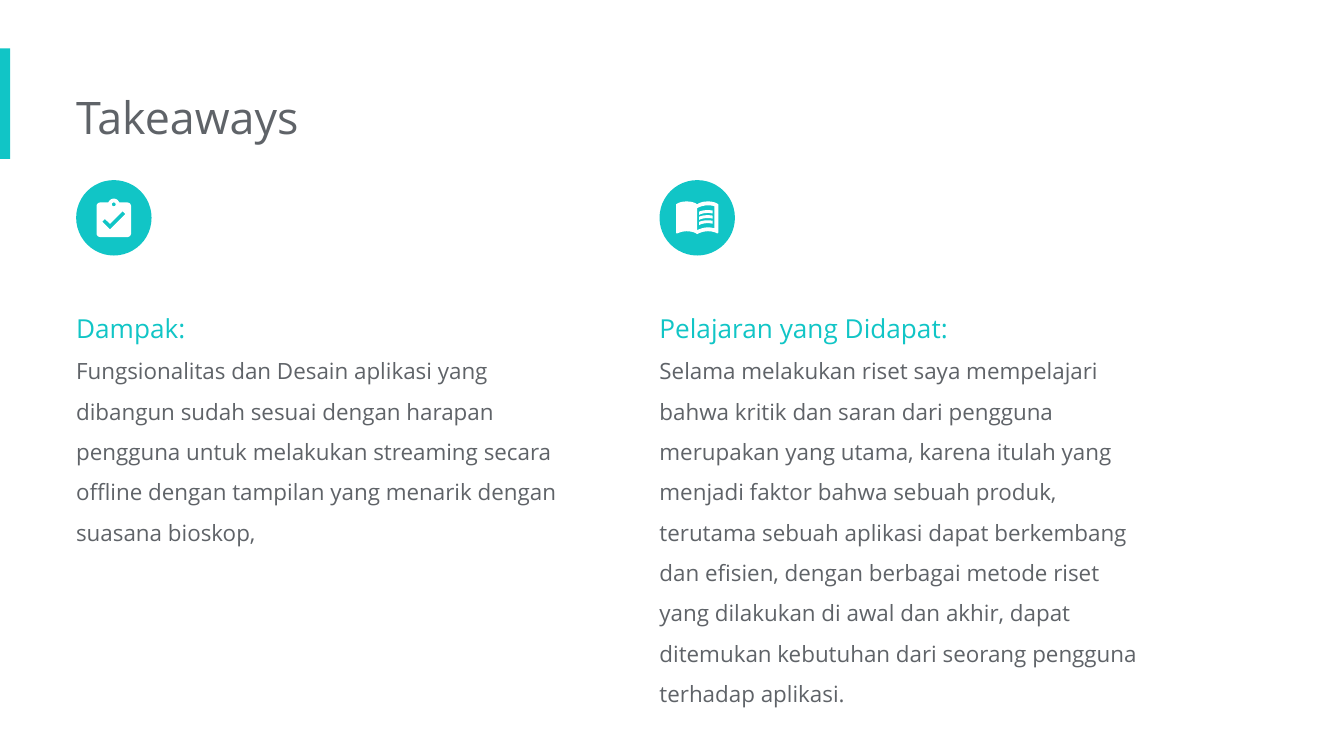
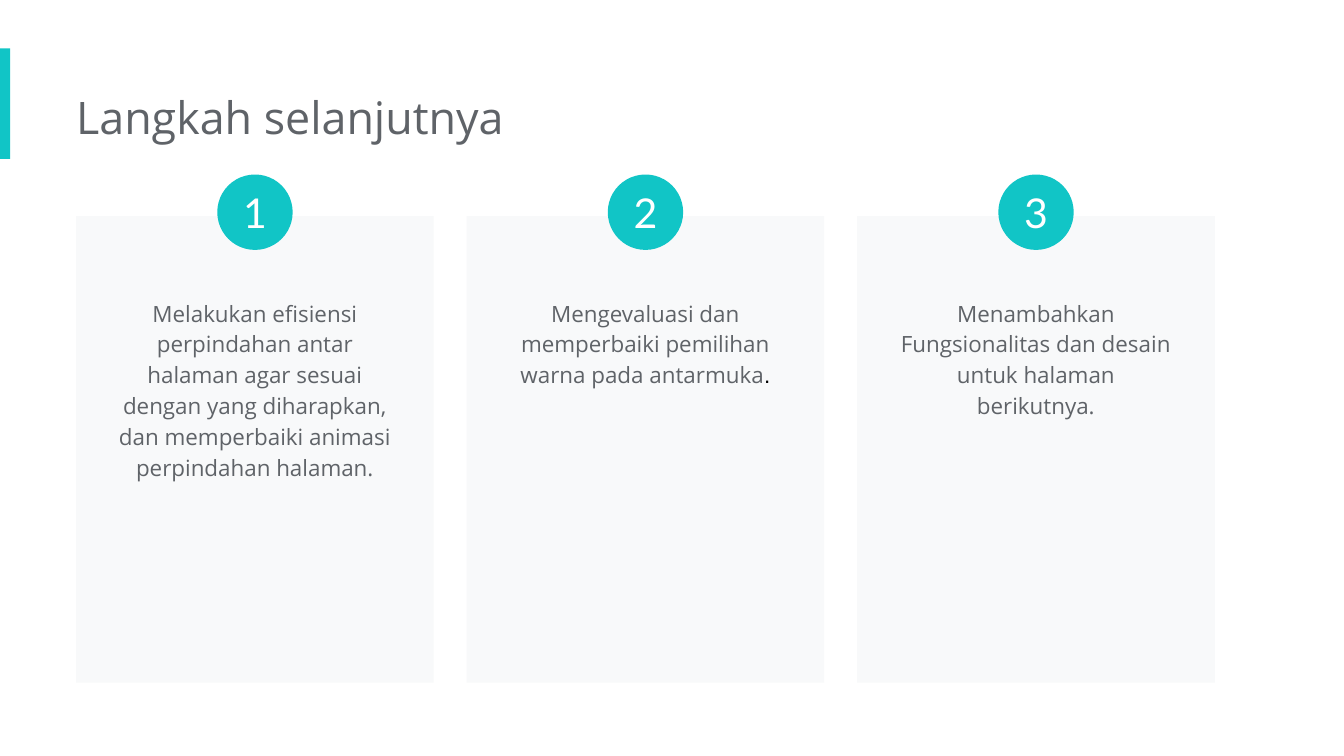
"""Builds two slides: project takeaways and next steps."""
from pptx import Presentation
from pptx.dml.color import RGBColor
from pptx.enum import shapes, text
from pptx.util import Pt

TEAL, GREY, PALE, WHITE, BLACK = "11C5C6", "5F6368", "F8F9FA", "FFFFFF", "000000"
FONT = "Open Sans"
LEFT = 40.8
INSET = 7.2
BADGE = 40.4

TAKEAWAYS_TITLE = "Takeaways"
TAKEAWAYS = [
    ("Dampak:",
     "Fungsionalitas dan Desain aplikasi yang dibangun sudah sesuai dengan harapan "
     "pengguna untuk melakukan streaming secara offline dengan tampilan yang menarik "
     "dengan suasana bioskop,", 142),
    ("Pelajaran yang Didapat:",
     "Selama melakukan riset saya mempelajari bahwa kritik dan saran dari pengguna "
     "merupakan yang utama, karena itulah yang menjadi faktor bahwa sebuah produk, "
     "terutama sebuah aplikasi dapat berkembang dan efisien, dengan berbagai metode riset "
     "yang dilakukan di awal dan akhir, dapat ditemukan kebutuhan dari seorang pengguna "
     "terhadap aplikasi.", 229),
]

STEPS_TITLE = "Langkah selanjutnya"
STEPS = [
    ([("Melakukan efisiensi perpindahan antar halaman agar sesuai dengan yang diharapkan, "
       "dan memperbaiki animasi perpindahan halaman.", {})], 113),
    ([("Mengevaluasi dan memperbaiki pemilihan warna pada antarmuka", {}),
      (".", {"font": "Arial", "color": BLACK})], 62.6),
    ([("Menambahkan Fungsionalitas dan desain untuk halaman berikutnya.", {})], 79.2),
]

CLIPBOARD = [
    [(19, 3), (14.82, 3), (14.4, 1.84, 13.3, 1, 12, 1), (10.7, 1, 9.6, 1.84, 9.18, 3),
     (5, 3), (3.9, 3, 3, 3.9, 3, 5), (3, 19), (3, 20.1, 3.9, 21, 5, 21), (19, 21),
     (20.1, 21, 21, 20.1, 21, 19), (21, 5), (21, 3.9, 20.1, 3, 19, 3)],
    [(12, 3), (12.55, 3, 13, 3.45, 13, 4), (13, 4.55, 12.55, 5, 12, 5),
     (11.45, 5, 11, 4.55, 11, 4), (11, 3.45, 11.45, 3, 12, 3)],
    [(10, 17), (6, 13), (7.41, 11.59), (10, 14.17), (16.59, 7.58), (18, 9)],
]
BOOK = [
    [(21, 5), (19.89, 4.65, 18.67, 4.5, 17.5, 4.5), (15.55, 4.5, 13.45, 4.9, 12, 6),
     (10.55, 4.9, 8.45, 4.5, 6.5, 4.5), (4.55, 4.5, 2.45, 4.9, 1, 6), (1, 20.65),
     (1, 20.9, 1.25, 21.15, 1.5, 21.15), (1.75, 21.1), (3.1, 20.45, 5.05, 20, 6.5, 20),
     (8.45, 20, 10.55, 20.4, 12, 21.5), (13.35, 20.65, 15.8, 20, 17.5, 20),
     (19.15, 20, 20.85, 20.3, 22.25, 21.05), (22.5, 21.1),
     (22.75, 21.1, 23, 20.85, 23, 20.6), (23, 6), (22.4, 5.55, 21.75, 5.25, 21, 5)],
    [(21, 18.5), (19.9, 18.15, 18.7, 18, 17.5, 18), (15.8, 18, 13.35, 18.65, 12, 19.5),
     (12, 8), (13.35, 7.15, 15.8, 6.5, 17.5, 6.5), (18.7, 6.5, 19.9, 6.65, 21, 7)],
]
TEXT_LINE = [(17.5, 10.5), (18.38, 10.5, 19.23, 10.59, 20, 10.76), (20, 9.24),
             (19.21, 9.09, 18.36, 9, 17.5, 9), (15.8, 9, 14.26, 9.29, 13, 9.83),
             (13, 11.49), (14.13, 10.85, 15.7, 10.5, 17.5, 10.5)]
LINE_STEP = 2.66
ICON_UNIT = 1.03


def shifted(contour, down):
    """Return the contour moved down by some grid units."""
    return [tuple(v + down * (i % 2) for i, v in enumerate(step)) for step in contour]


ICONS = [
    ([CLIPBOARD], (12, 11)),
    ([BOOK] + [[shifted(TEXT_LINE, row * LINE_STEP)] for row in range(3)], (12, 13)),
]


def rgb(color):
    """Turn a hex string into a colour."""
    return RGBColor.from_string(color)


def paint(shape, color):
    """Give a shape a plain fill without line or shadow."""
    shape.fill.solid()
    shape.fill.fore_color.rgb = rgb(color)
    shape.line.fill.background()
    shape.shadow.inherit = False
    return shape


def add_block(slide, kind, left, top, width, height, color):
    """Add a filled preset shape."""
    shape = slide.shapes.add_shape(kind, Pt(left), Pt(top), Pt(width), Pt(height))
    return paint(shape, color)


def add_badge(slide, left, top):
    """Add a teal circle."""
    return add_block(slide, shapes.MSO_SHAPE.OVAL, left, top, BADGE, BADGE, TEAL)


def write(frame, paragraphs, inset=INSET, left_inset=None, size=12, font=FONT, color=GREY,
          align=text.PP_ALIGN.LEFT, spacing=None, anchor=text.MSO_ANCHOR.TOP):
    """Fill a text frame with paragraphs made of (text, format) runs."""
    frame.word_wrap = True
    frame.vertical_anchor = anchor
    frame.margin_top = frame.margin_right = frame.margin_bottom = Pt(inset)
    frame.margin_left = Pt(inset if left_inset is None else left_inset)
    for index, runs in enumerate(paragraphs):
        paragraph = frame.add_paragraph() if index else frame.paragraphs[0]
        paragraph.alignment = align
        if spacing:
            paragraph.line_spacing = spacing
        for words, style in runs:
            run = paragraph.add_run()
            run.text = words
            run.font.size = Pt(style.get("size", size))
            run.font.name = style.get("font", font)
            run.font.color.rgb = rgb(style.get("color", color))


def add_text(slide, left, top, width, height, paragraphs, **style):
    """Add a text box that grows with its text."""
    box = slide.shapes.add_textbox(Pt(left), Pt(top), Pt(width), Pt(height))
    write(box.text_frame, paragraphs, **style)
    box.text_frame.auto_size = text.MSO_AUTO_SIZE.SHAPE_TO_FIT_TEXT


def flatten(contour):
    """Turn line and cubic steps into a list of points."""
    points = []
    for step in contour:
        if len(step) == 2:
            points.append(step)
            continue
        (x0, y0), (x1, y1, x2, y2, x3, y3) = points[-1], step
        for t in (0.2, 0.4, 0.6, 0.8, 1):
            s = 1 - t
            weights = s ** 3, 3 * s * s * t, 3 * s * t * t, t ** 3
            points.append((sum(w * x for w, x in zip(weights, (x0, x1, x2, x3))),
                           sum(w * y for w, y in zip(weights, (y0, y1, y2, y3)))))
    return points


def add_icon(slide, outlines, middle, center_x, center_y):
    """Draw white outlines with the grid point middle at the given centre."""
    for contours in outlines:
        builder = None
        for contour in contours:
            points = [(100 * (center_x + (x - middle[0]) * ICON_UNIT),
                       100 * (center_y + (y - middle[1]) * ICON_UNIT))
                      for x, y in flatten(contour)]
            if builder:
                builder.move_to(*points[0])
            else:
                builder = slide.shapes.build_freeform(*points[0], scale=Pt(0.01))
            builder.add_line_segments(points[1:], close=True)
        paint(builder.convert_to_shape(), WHITE)


def add_slide(presentation, title):
    """Add a blank slide with the accent bar and title."""
    slide = presentation.slides.add_slide(presentation.slide_layouts[6])
    add_block(slide, shapes.MSO_SHAPE.RECTANGLE, 0, 26, 5.5, 59.2, TEAL)
    add_text(slide, LEFT, 41, 388, 44, [[(title, {})]], left_inset=0, size=24)
    return slide


def build_takeaways(presentation):
    """Build the two columns with icons."""
    slide = add_slide(presentation, TAKEAWAYS_TITLE)
    badge_top = 96.5
    for column, (heading, body, height) in enumerate(TAKEAWAYS):
        left = LEFT + column * 312.5
        add_text(slide, left, 151.9, 271.4, height,
                 [[(heading, {"size": 14, "color": TEAL})], [(body, {})]],
                 left_inset=0, spacing=1.5)
        add_badge(slide, left, badge_top)
        add_icon(slide, *ICONS[column], left + BADGE / 2, badge_top + BADGE / 2)


def build_steps(presentation):
    """Build the three numbered cards."""
    slide = add_slide(presentation, STEPS_TITLE)
    card_width, text_width, pitch = 191.6, 161.3, 209.2
    centers = [LEFT + card_width / 2 + pitch * i for i in range(len(STEPS))]
    for center, (runs, height) in zip(centers, STEPS):
        add_block(slide, shapes.MSO_SHAPE.RECTANGLE, center - card_width / 2, 115.8,
                  card_width, 250, PALE)
        add_text(slide, center - text_width / 2, 151.2, text_width, height, [runs],
                 align=text.PP_ALIGN.CENTER, spacing=1.15)
    for number, center in enumerate(centers, 1):
        badge = add_badge(slide, center - BADGE / 2, 93.5)
        write(badge.text_frame, [[(str(number), {})]], inset=0, size=22, font="Lato",
              color=WHITE, align=text.PP_ALIGN.CENTER, anchor=text.MSO_ANCHOR.MIDDLE)


def main():
    """Build and save the presentation."""
    presentation = Presentation()
    presentation.slide_width, presentation.slide_height = Pt(720), Pt(405)
    build_takeaways(presentation)
    build_steps(presentation)
    presentation.save("out.pptx")


if __name__ == "__main__":
    main()
